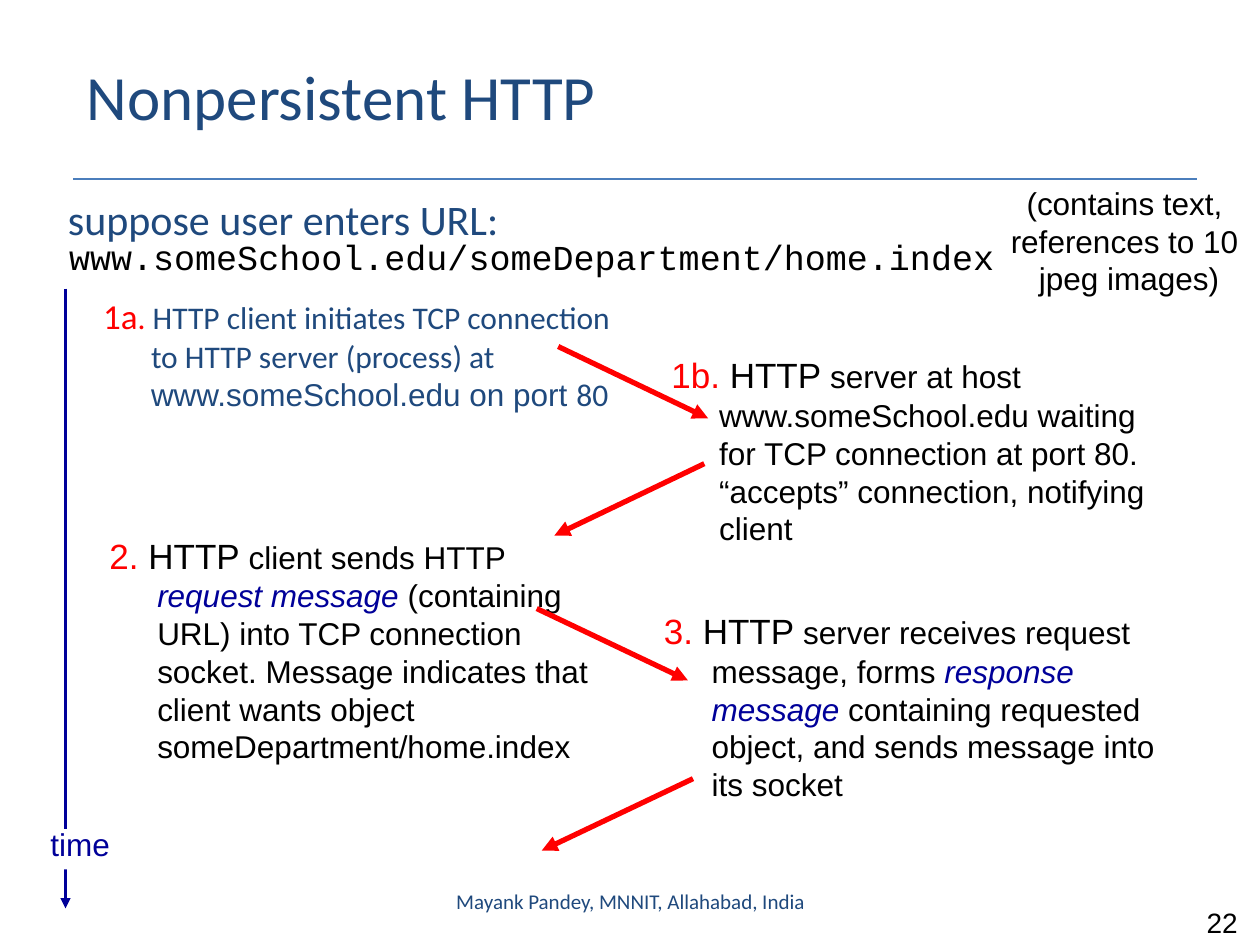
from dataclasses import dataclass

from lxml.etree import SubElement
from pptx import Presentation
from pptx.dml.color import RGBColor
from pptx.enum.shapes import MSO_CONNECTOR as Conn, MSO_SHAPE as Shape
from pptx.enum.text import MSO_ANCHOR as Anchor, PP_ALIGN as Align
from pptx.oxml.ns import qn
from pptx.util import Inches, Pt


@dataclass(frozen=True)
class Theme:
    """Colours, fonts and type sizes."""
    navy: str = "1F497D"
    blue: str = "000099"
    red: str = "FF0000"
    black: str = "000000"
    white: str = "FFFFFF"
    rule: str = "4B7EBC"
    sans: str = "Arial"
    head: str = "Calibri"
    mono: str = "Courier New"
    title: int = 36
    lead: int = 24
    label: int = 20
    text: int = 18
    number: int = 16
    footer: int = 12


class Deck:
    """Holds the theme and the current slide."""

    def __init__(self, prs, theme):
        self.t = theme
        self.s = prs.slides.add_slide(prs.slide_layouts[6])

    def run(self, text, color=None, size=None, name=None, italic=False):
        """Describe one run as its text and its font values."""
        return text, {"size": Pt(size or self.t.text), "name": name or self.t.sans,
                      "italic": italic}, color or self.t.black

    def text(self, box, *paras, align=Align.LEFT, anchor=Anchor.TOP,
             wrap=True, hang=0):
        """Add a text box; each paragraph is a list of runs."""
        sp = self.s.shapes.add_textbox(*map(Inches, box))
        tf = sp.text_frame
        for key, value in {"word_wrap": wrap, "vertical_anchor": anchor}.items():
            setattr(tf, key, value)
        for i, runs in enumerate(paras):
            p = tf.add_paragraph() if i else tf.paragraphs[0]
            p.alignment = align
            if hang:
                pPr = p._p.get_or_add_pPr()
                pPr.set("marL", str(Inches(hang)))
                pPr.set("indent", str(-Inches(hang)))
            for words, font, color in runs:
                r = p.add_run()
                r.text = words
                for key, value in font.items():
                    setattr(r.font, key, value)
                r.font.color.rgb = RGBColor.from_string(color)

    def line(self, start, end, color, width, arrow=False):
        """Add a straight line, with an arrowhead at its end if asked."""
        cn = self.s.shapes.add_connector(
            Conn.STRAIGHT, *map(Inches, (*start, *end)))
        cn.line.color.rgb = RGBColor.from_string(color)
        cn.line.width = Pt(width)
        if arrow:
            SubElement(cn.line._get_or_add_ln(), qn("a:tailEnd"), type="triangle")
        SubElement(cn._element.spPr, qn("a:effectLst"))

    def patch(self, box, color):
        """Add a plain filled rectangle."""
        sp = self.s.shapes.add_shape(Shape.RECTANGLE, *map(Inches, box))
        sp.shadow.inherit = False
        sp.fill.solid()
        sp.fill.fore_color.rgb = RGBColor.from_string(color)
        sp.line.fill.background()

    def step(self, box, label, *runs):
        """Add a numbered step with a hanging indent."""
        size = self.t.label
        self.text(box, [self.run(label, self.t.red, size),
                        self.run(" HTTP", size=size), *runs], hang=HANG)


HANG = 0.38


def build():
    """Build the slide and save it."""
    prs = Presentation()
    prs.slide_width, prs.slide_height = Inches(10), Inches(7.5)
    t = Theme()
    d = Deck(prs, t)
    run = d.run

    d.line((0.58, 1.42), (9.5, 1.42), t.rule, 0.75)
    d.line((0.52, 2.29), (0.52, 7.21), t.blue, 1.5, arrow=True)
    d.patch((0.26, 6.58, 0.72, 0.32), t.white)

    d.text((0.59, 0.28, 8.5, 0.95),
           [run("Nonpersistent HTTP", t.navy, t.title, t.head)],
           anchor=Anchor.MIDDLE)
    d.text((0.44, 1.49, 8.69, 0.51),
           [run("suppose user enters URL:", t.navy, t.lead, t.head)], hang=HANG)
    d.text((0.72, 2.29, 4.31, 2.08),
           [run("1a", t.red, t.label, t.head),
            run(".", t.red, name=t.head),
            run(" HTTP client initiates TCP connection to HTTP server (process) at ",
                t.navy, name=t.head),
            run("www.someSchool.edu on port ", t.navy),
            run("80", t.navy, name=t.head)], hang=HANG)

    d.step((0.77, 4.19, 4.17, 1.18), "2.",
           run(" client sends HTTP "),
           run("request message", t.blue, italic=True),
           run(" (containing URL) into TCP connection socket. Message indicates "
               "that client wants object someDepartment/home.index"))
    d.step((5.23, 2.76, 4.17, 1.65), "1b.",
           run(" server at host www.someSchool.edu waiting for TCP connection "
               "at port 80. \u201caccepts\u201d connection, notifying client"))
    d.step((5.17, 4.79, 4.17, 1.97), "3.",
           run(" server receives request message, forms "),
           run("response message", t.blue, italic=True),
           run(" containing requested object, and sends message into its socket"))

    for x, y, dx in ((4.43, 2.75, 1.19), (5.59, 3.68, -1.19),
                     (4.26, 4.83, 1.2), (5.5, 6.18, -1.2)):
        d.line((x, y), (x + dx, y + 0.57), t.red, 3, arrow=True)

    d.text((0.19, 6.5, 0.89, 0.5), [run("time", t.blue)],
           align=Align.CENTER, wrap=False)
    d.text((7.92, 1.41, 2.08, 1),
           *([run(words)] for words in
             ("(contains text, ", "references to 10 ", "jpeg images)")),
           align=Align.CENTER, wrap=False)
    d.text((0.45, 1.82, 8.69, 0.51),
           [run("www.someSchool.edu/someDepartment/home.index",
                size=t.label, name=t.mono)], hang=HANG)
    d.text((8.33, 7.14, 1.59, 0.31), [run("22", size=t.number)],
           align=Align.RIGHT)
    d.text((3.42, 6.95, 3.17, 0.4),
           [run("Mayank Pandey, MNNIT, Allahabad, India", t.navy, t.footer, t.head)],
           align=Align.CENTER, anchor=Anchor.MIDDLE)

    prs.save("out.pptx")


build()
